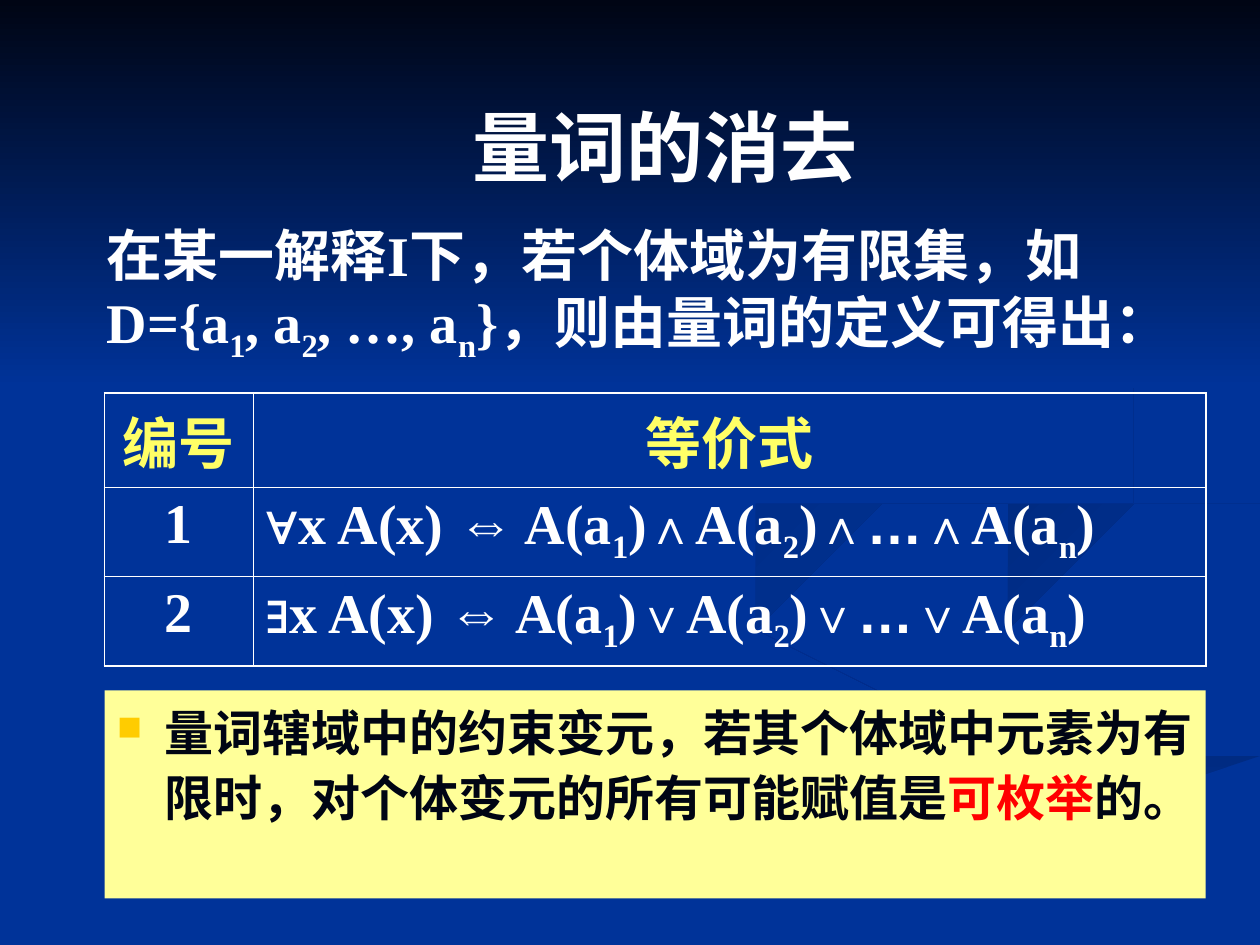
from lxml import etree
from pptx import Presentation
from pptx.dml.color import RGBColor
from pptx.enum.shapes import MSO_SHAPE
from pptx.enum.text import MSO_ANCHOR, PP_ALIGN
from pptx.oxml.ns import qn
from pptx.util import Inches, Pt

RECT = MSO_SHAPE.RECTANGLE
TOP, MIDDLE = MSO_ANCHOR.TOP, MSO_ANCHOR.MIDDLE
LEFT, CENTER = PP_ALIGN.LEFT, PP_ALIGN.CENTER

COLORS = {
    "bg": "003399", "shade": "002B82", "night": "000514", "white": "FFFFFF",
    "header": "FFFF66", "note": "FFFF99", "bullet": "FFCC00", "red": "FF0000",
}
SERIF, SANS = "Times New Roman", "Arial"


def add_run(p, text, size=32, color="white", font=SERIF, sub=False):
    r = p.add_run()
    r.text = text
    r.font.size = Pt(size)
    r.font.bold = True
    r.font.name = font
    r.font.color.rgb = RGBColor.from_string(COLORS[color])
    if sub:
        r._r.get_or_add_rPr().set("baseline", "-25000")


def paint(sp, start, end, angle=0):
    sp.shadow.inherit = False
    sp.line.fill.background()
    if start == end:
        sp.fill.solid()
        sp.fill.fore_color.rgb = RGBColor.from_string(COLORS[start])
        return
    sp.fill.gradient()
    sp.fill.gradient_angle = (360 - angle) % 360
    for stop, color in zip(sp.fill.gradient_stops, (start, end)):
        stop.color.rgb = RGBColor.from_string(COLORS[color])


prs = Presentation()
prs.slide_width, prs.slide_height = Inches(10), Inches(7.5)
s = prs.slides.add_slide(prs.slide_layouts[6])
s.background.fill.solid()
s.background.fill.fore_color.rgb = RGBColor.from_string(COLORS["bg"])

# Background ribbons: start colour, end colour, angle, outline
RIBBONS = [
    ("bg", "shade", 0, [
        (7.81, 5.53), (5.75, 4.6), (6.02, 4.95), (7.86, 5.66),
        (5.4, 6.5), (3, 7.49), (3.6, 7.49), (5.64, 6.65), (8, 5.81)]),
    ("bg", "shade", 45, [
        (9.43, 5.7), (7.6, 5), (7.24, 4.64), (7.8, 5.18),
        (9.18, 5.81), (8.94, 6.05)]),
    ("shade", "bg", 90, [
        (5.03, 7.49), (5.71, 7.49), (7.22, 6.82), (9.98, 6.09),
        (9.98, 5.81), (7.64, 6.47)]),
    ("bg", "bg", 0, [
        (7.25, 4.64), (9.43, 5.7), (7.43, 6.43), (4.77, 7.49), (5.19, 7.47),
        (7.65, 6.47), (9.99, 5.81), (9.99, 5.38), (7.81, 4.63), (8.65, 4.24),
        (9.99, 4.02), (9.99, 3.87), (7.7, 4.27)]),
    ("shade", "bg", 45, [
        (7.81, 4.6), (8.26, 4.96), (8.05, 4.72), (8.78, 4.39),
        (9.98, 4.2), (9.98, 4.02), (8.2, 4.33)]),
    ("shade", "bg", 45, [
        (6.83, 4.3), (8.55, 3.91), (8.94, 3.44), (8.43, 2.75), (7.62, 2.33),
        (8.7, 3), (8.82, 3.54), (6.25, 4.26), (5.77, 4.62), (6.22, 5),
        (6, 4.56)]),
]
for start, end, angle, points in RIBBONS:
    fb = s.shapes.build_freeform(*points[0], scale=Inches(1))
    fb.add_line_segments(points[1:])
    paint(fb.convert_to_shape(), start, end, angle)

# Dark band fading into the background
sp = s.shapes.add_shape(RECT, 0, 0, Inches(10), Inches(3.08))
paint(sp, "night", "bg", 90)

# Equivalence table
table = s.shapes.add_table(3, 2, Inches(0.83), Inches(3.12),
                           Inches(8.74), Inches(2.06)).table
for col, width in zip(table.columns, (1.18, 7.56)):
    col.width = Inches(width)
for row, height in zip(table.rows, (0.64, 0.71, 0.71)):
    row.height = Inches(height)

for i in range(3):
    for j in range(2):
        cell = table.cell(i, j)
        p = cell.text_frame.paragraphs[0]
        p.alignment = LEFT if i and j else CENTER
        p.space_before = Pt(8)
        tcPr = cell._tc.get_or_add_tcPr()
        outer = {"lnL": j == 0, "lnR": j == 1, "lnT": i == 0, "lnB": i == 2}
        for tag, is_outer in outer.items():
            ln = etree.SubElement(tcPr, qn("a:" + tag),
                                  w=str(Pt(1.08 if is_outer else 0.45)))
            fill = etree.SubElement(ln, qn("a:solidFill"))
            etree.SubElement(fill, qn("a:srgbClr"), val=COLORS["white"])
        cell.fill.background()

for j, heading in enumerate(("编号", "等价式")):
    add_run(table.cell(0, j).text_frame.paragraphs[0], heading, color="header")

for i, (quantifier, op) in enumerate((("∀", "∧"), ("∃", "∨")), start=1):
    add_run(table.cell(i, 0).text_frame.paragraphs[0], str(i))
    p = table.cell(i, 1).text_frame.paragraphs[0]
    add_run(p, quantifier + "x A(x) ")
    add_run(p, "⇔", font=SANS)
    add_run(p, " ")
    for index in ("1", "2", "n"):
        if index == "n":
            add_run(p, "…", font=SANS)
            add_run(p, op, size=28)
        add_run(p, "A(a")
        add_run(p, index, sub=True)
        add_run(p, ")")
        if index != "n":
            add_run(p, op, size=28)

# Title, shifted right of centre by its left inset
tf = s.shapes.add_textbox(Inches(0.83), Inches(0.68),
                          Inches(8.35), Inches(0.95)).text_frame
tf.word_wrap = True
tf.vertical_anchor = MIDDLE
tf.margin_left = Inches(0.65)
p = tf.paragraphs[0]
p.alignment = CENTER
add_run(p, "量词的消去", size=44)

# Introduction
tf = s.shapes.add_textbox(Inches(0.75), Inches(1.7),
                          Inches(8.82), Inches(1.24)).text_frame
tf.word_wrap = True
p = tf.paragraphs[0]
for text, index in (("在某一解释I下，若个体域为有限集，如D={a", "1"),
                    (", a", "2"), (", …, a", "n")):
    add_run(p, text)
    add_run(p, index, sub=True)
add_run(p, "}，则由量词的定义可得出：")

# Note with a square bullet
sp = s.shapes.add_shape(RECT, Inches(0.83), Inches(5.48),
                        Inches(8.74), Inches(1.65))
paint(sp, "note", "note")
tf = sp.text_frame
tf.word_wrap = True
tf.vertical_anchor = TOP
p = tf.paragraphs[0]
p.alignment = LEFT
p.line_spacing = 1.1
pPr = p._p.get_or_add_pPr()
pPr.set("marL", str(Inches(0.38)))
pPr.set("indent", str(-Inches(0.38)))
buClr = etree.SubElement(pPr, qn("a:buClr"))
etree.SubElement(buClr, qn("a:srgbClr"), val=COLORS["bullet"])
etree.SubElement(pPr, qn("a:buSzPct"), val="70000")
etree.SubElement(pPr, qn("a:buChar"), char="■")
add_run(p, "量词辖域中的约束变元，若其个体域中元素为有限时，对个体变元的所有可能赋值是",
        size=28, color="night")
add_run(p, "可枚举", size=28, color="red")
add_run(p, "的。", size=28, color="night")

prs.save("out.pptx")
